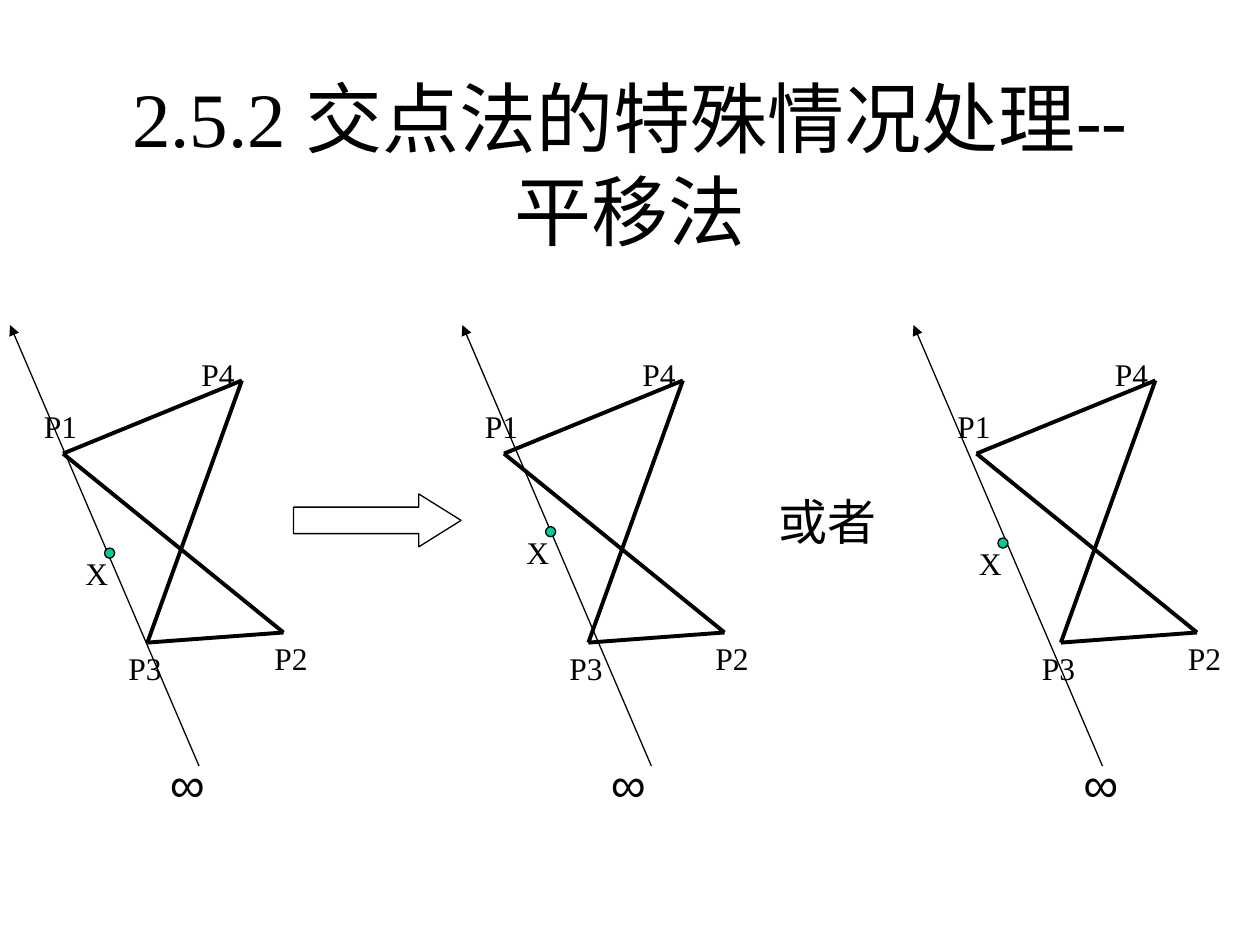
from lxml.etree import SubElement
from pptx import Presentation
from pptx.dml.color import RGBColor
from pptx.enum.shapes import MSO_CONNECTOR, MSO_SHAPE
from pptx.enum.text import MSO_ANCHOR, PP_ALIGN
from pptx.oxml.ns import qn
from pptx.util import Inches, Pt

BLACK = "000000"
VERTICES = {"P1": (0.25, 1.02), "P2": (2, 2.44), "P3": (0.92, 2.52), "P4": (1.67, 0.44)}
EDGES = [("P4", "P1"), ("P4", "P3"), ("P1", "P2"), ("P3", "P2")]
LABELS = {"P1": (0, 0.6), "P2": (1.83, 2.44), "P3": (0.67, 2.52), "P4": (1.25, 0.19)}
FIGURES = [
    dict(left=0.25, ray_dx=-0.17, dot=(0.58, 1.77)),
    dict(left=3.75, ray_dx=-0.08, dot=(0.58, 1.6)),
    dict(left=7.5, ray_dx=-0.25, dot=(0.42, 1.69)),
]


def color(value):
    return RGBColor.from_string(value)


def add_text(s, text, left, top, width=0.5, height=0.4, size=18,
             font="Times New Roman", align=PP_ALIGN.LEFT, anchor=MSO_ANCHOR.TOP):
    box = s.shapes.add_textbox(Inches(left), Inches(top), Inches(width), Inches(height))
    tf = box.text_frame
    tf.word_wrap = True
    tf.vertical_anchor = anchor
    p = tf.paragraphs[0]
    p.alignment = align
    r = p.add_run()
    r.text = text
    r.font.size = Pt(size)
    r.font.name = font
    r.font.color.rgb = color(BLACK)


def add_line(s, start, end, width, arrow=False):
    line = s.shapes.add_connector(MSO_CONNECTOR.STRAIGHT, *map(Inches, start + end))
    line.line.color.rgb = color(BLACK)
    line.line.width = Pt(width)
    if arrow:
        SubElement(line.line._get_or_add_ln(), qn("a:tailEnd"), type="triangle")
    SubElement(line._element.spPr, qn("a:effectLst"))


def add_shape(s, kind, left, top, width, height, fill):
    sp = s.shapes.add_shape(kind, Inches(left), Inches(top), Inches(width), Inches(height))
    sp.shadow.inherit = False
    sp.fill.solid()
    sp.fill.fore_color.rgb = color(fill)
    sp.line.color.rgb = color(BLACK)
    sp.line.width = Pt(0.75)
    return sp


def add_title(s, left, top, width, height):
    add_text(s, "2.5.2 交点法的特殊情况处理--平移法", left, top, width, height, size=44,
             align=PP_ALIGN.CENTER, anchor=MSO_ANCHOR.MIDDLE)


def add_figure(s, left, top, ray_dx, dot):
    def at(point):
        return left + point[0], top + point[1]

    for start, end in EDGES:
        add_line(s, at(VERTICES[start]), at(VERTICES[end]), 2.25)
    for name, point in LABELS.items():
        add_text(s, name, *at(point))
    add_line(s, at((ray_dx + 1.5, 3.5)), at((ray_dx, 0)), 0.75, arrow=True)
    add_text(s, "∞", *at((1, 3.35)), height=0.57, size=28, font="Arial")
    x, y = at(dot)
    add_shape(s, MSO_SHAPE.OVAL, x, y, 0.08, 0.08, "00CC99")
    add_text(s, "X", x - 0.25, y)


def add_step_arrow(s, left, top, width, height):
    arrow = add_shape(s, MSO_SHAPE.RIGHT_ARROW, left, top, width, height, "FFFFFF")
    arrow.adjustments[0] = 0.5
    arrow.adjustments[1] = 0.8


def main():
    prs = Presentation()
    prs.slide_width, prs.slide_height = Inches(10), Inches(7.5)
    s = prs.slides.add_slide(prs.slide_layouts[6])
    add_title(s, 0.75, 0.67, 8.5, 1.25)
    for figure in FIGURES:
        add_figure(s, top=2.58, **figure)
    add_step_arrow(s, 2.33, 3.92, 1.33, 0.42)
    add_text(s, "或者", 6.08, 3.85, 1.17, 0.57, size=28)
    prs.save("out.pptx")


if __name__ == "__main__":
    main()
